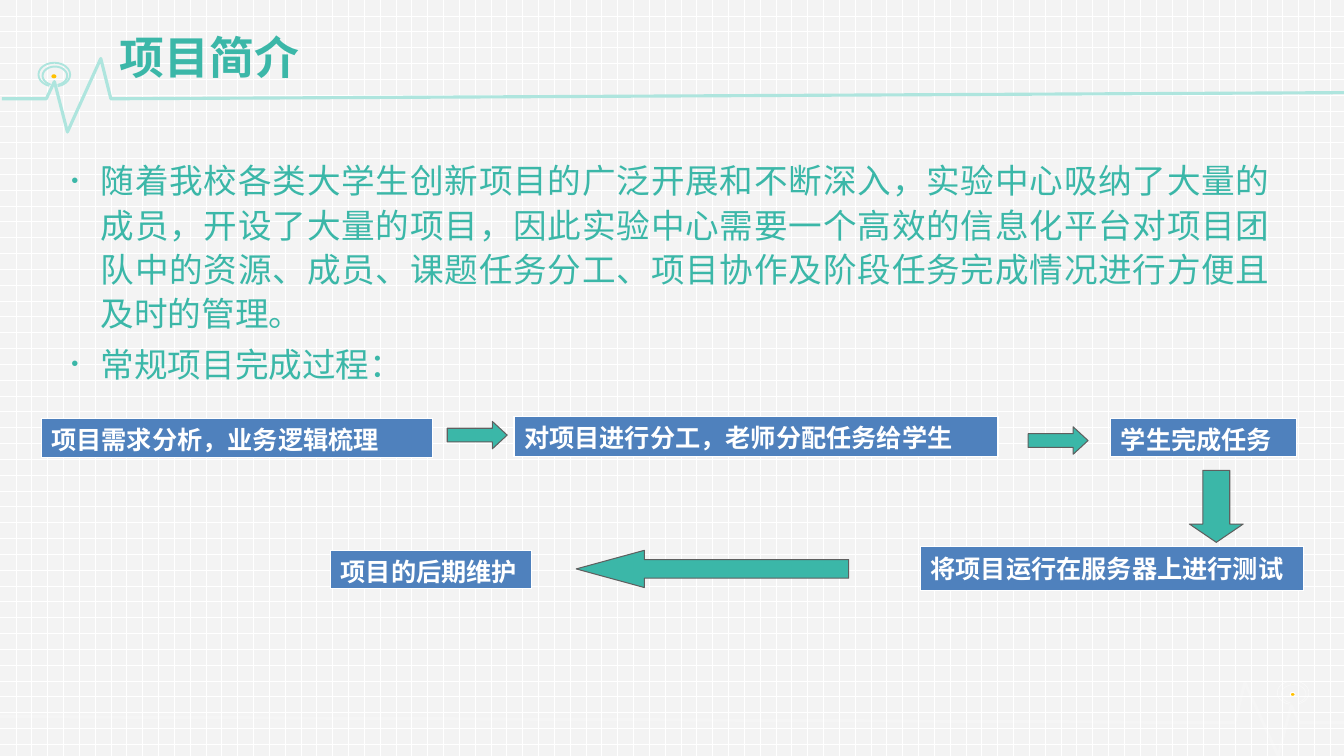
from lxml.etree import SubElement
from pptx import Presentation
from pptx.dml.color import RGBColor as RGB
from pptx.enum.dml import MSO_PATTERN
from pptx.enum.shapes import MSO_SHAPE as SHAPE
from pptx.enum.text import MSO_ANCHOR as ANCHOR, PP_ALIGN as ALIGN
from pptx.oxml.ns import qn
from pptx.util import Pt

THEME = {
    "teal": "3BB7A8", "mint": "AEE5DE", "white": "FFFFFF", "paper": "F3F3F3",
    "amber": "FFC000", "blue": "4F81BD", "edge": "5F5F5F",
    "cjk": "Noto Sans CJK SC", "latin": "Calibri",
    "title": 32, "body": 24, "step": 18,
}
WIDTH, HEIGHT = 960, 540

TITLE = "项目简介"
BODY = [
    "随着我校各类大学生创新项目的广泛开展和不断深入，实验中心吸纳了大量的成员，"
    "开设了大量的项目，因此实验中心需要一个高效的信息化平台对项目团队中的资源、成员、"
    "课题任务分工、项目协作及阶段任务完成情况进行方便且及时的管理。",
    "常规项目完成过程：",
]
# text, (left, top, width, height)
STEPS = [
    ("项目需求分析，业务逻辑梳理", (29.5, 298.8, 279.4, 28.1)),
    ("对项目进行分工，老师分配任务给学生", (367.2, 297.4, 345.6, 28.8)),
    ("学生完成任务", (793.4, 298.8, 132.5, 27.4)),
    ("将项目运行在服务器上进行测试", (657.4, 390.2, 273.6, 31.7)),
    ("项目的后期维护", (236.2, 393.1, 143.3, 27.4)),
]
# shape, box, head length ratio
ARROWS = [
    (SHAPE.DOWN_ARROW, (849.6, 336, 38.4, 51.4), 0.34),
    (SHAPE.LEFT_ARROW, (411.6, 393.1, 194.6, 26.6), 1.83),
    (SHAPE.RIGHT_ARROW, (319.5, 301, 42.8, 19.6), 0.54),
    (SHAPE.RIGHT_ARROW, (734.4, 304.9, 42.8, 19.6), 0.54),
]
PULSE = [(1.4, 70.6), (33.1, 70.6), (38.9, 58.3), (48.2, 94.3),
         (72, 41.8), (79.2, 70.6), (WIDTH, 66.2)]
FAINT_PULSE = [(WIDTH, 516.2), (928.1, 516.2), (922.3, 504), (913, HEIGHT),
               (889.2, 487.4), (882, 516.2), (0, 511.9)]
# offset from the dot, size, adjustments, opacity
RINGS = [((-9.4, -8.4), (23, 17.3), (69.88, 42.68, 0.02), 70),
         ((-6.5, -5.8), (18, 13.7), (71.65, 41.7, 0.03), 60)]
DOT = (3.6, 2.9)


def color(name):
    """Return a theme colour."""
    return RGB.from_string(THEME[name])


def set_all(obj, formats):
    """Set every attribute in a dict of format values."""
    for name, value in formats.items():
        setattr(obj, name, value)


def set_alpha(holder, percent):
    """Make the solid colour inside an element partly transparent."""
    clr = next(holder.iter(qn("a:srgbClr")))
    SubElement(clr, qn("a:alpha"), val=str(percent * 1000))


def paint(sp, fill=None, line=None, weight=0.75):
    """Give a shape its fill and line, and no shadow."""
    sp.shadow.inherit = False
    if fill:
        sp.fill.solid()
        sp.fill.fore_color.rgb = color(fill)
    else:
        sp.fill.background()
    if line:
        sp.line.color.rgb = color(line)
        sp.line.width = Pt(weight)
    else:
        sp.line.fill.background()


def add_preset(s, kind, box, adjust=(), **look):
    """Add a painted preset shape."""
    sp = s.shapes.add_shape(kind, *map(Pt, box))
    for i, value in enumerate(adjust):
        sp.adjustments[i] = value
    paint(sp, **look)
    return sp


def add_paper(s):
    """Cover the slide with a dotted grid."""
    sp = add_preset(s, SHAPE.RECTANGLE, (0, 0, WIDTH, HEIGHT))
    sp.fill.patterned()
    set_all(sp.fill, {"pattern": MSO_PATTERN.DOTTED_GRID})
    sp.fill.fore_color.rgb = color("white")
    sp.fill.back_color.rgb = color("paper")


def add_pulse(s, points, line, alpha=None):
    """Draw an open heartbeat line."""
    pts = [(Pt(x), Pt(y)) for x, y in points]
    builder = s.shapes.build_freeform(*pts[0], scale=1.0)
    builder.add_line_segments(pts[1:], close=False)
    sp = builder.convert_to_shape()
    paint(sp, line=line, weight=2.25)
    if alpha:
        set_alpha(sp.line._ln, alpha)


def add_beacon(s, x, y, dot_line=None, ring_line=None, flip=False):
    """Draw a dot inside two open rings."""
    parts = [add_preset(s, SHAPE.OVAL, (x, y, *DOT), fill="amber", line=dot_line)]
    for (dx, dy), size, adjust, alpha in RINGS:
        ring = add_preset(s, SHAPE.BLOCK_ARC, (x + dx, y + dy, *size), adjust,
                          fill="white", line=ring_line, weight=1)
        set_alpha(ring._element.spPr.find(qn("a:solidFill")), alpha)
        parts.append(ring)
    if flip:
        for sp in parts:
            sp._element.spPr.xfrm.set("flipH", "1")


def write(p, text, size, ink, font="cjk", bold=False, **spacing):
    """Fill a paragraph with one formatted run."""
    set_all(p, spacing)
    r = p.add_run()
    r.text = text
    set_all(r.font, {"size": Pt(THEME[size]), "bold": bold, "name": THEME[font]})
    r.font.color.rgb = color(ink)
    SubElement(r._r.get_or_add_rPr(), qn("a:ea"), typeface=THEME["cjk"])


def add_bullet(p):
    """Give a paragraph a small hanging bullet."""
    pPr = p._p.get_or_add_pPr()
    set_all_xml = {"marL": Pt(20.9), "indent": -Pt(20.9)}
    for name, value in set_all_xml.items():
        pPr.set(name, str(int(value)))
    SubElement(SubElement(pPr, qn("a:buClr")), qn("a:srgbClr"), val=THEME["teal"])
    SubElement(pPr, qn("a:buSzPct"), val="60000")
    SubElement(pPr, qn("a:buFont"), typeface="Arial")
    SubElement(pPr, qn("a:buChar"), char="•")


def add_frame(s, box, anchor):
    """Add a wrapping text box and return its frame."""
    tf = s.shapes.add_textbox(*map(Pt, box)).text_frame
    set_all(tf, {"word_wrap": True, "vertical_anchor": anchor})
    return tf


def add_step(s, text, box):
    """Add a one-cell table for a step of the process."""
    table = s.shapes.add_table(1, 1, *map(Pt, box)).table
    cell = table.cell(0, 0)
    cell.vertical_anchor = ANCHOR.MIDDLE
    write(cell.text_frame.paragraphs[0], text, "step", "white", "latin", True,
          line_spacing=0.9, space_before=Pt(10))
    tcPr = cell._tc.get_or_add_tcPr()
    for side in ("lnL", "lnR", "lnT", "lnB"):
        ln = SubElement(tcPr, qn("a:" + side), w=str(int(Pt(1))))
        SubElement(SubElement(ln, qn("a:solidFill")), qn("a:srgbClr"),
                   val=THEME["white"])
    cell.fill.solid()
    cell.fill.fore_color.rgb = color("blue")


def main():
    """Build and save the slide."""
    prs = Presentation()
    set_all(prs, {"slide_width": Pt(WIDTH), "slide_height": Pt(HEIGHT)})
    s = prs.slides.add_slide(prs.slide_layouts[6])
    add_paper(s)
    add_pulse(s, PULSE, "mint")
    add_beacon(s, 36.7, 53.1, ring_line="mint")
    add_pulse(s, FAINT_PULSE, "white", alpha=19)
    add_beacon(s, 921.6, 494.6, dot_line="white", flip=True)

    tf = add_frame(s, (78.5, 14.4, 764.6, 49), ANCHOR.BOTTOM)
    write(tf.paragraphs[0], TITLE, "title", "teal", bold=True, line_spacing=0.9)
    tf = add_frame(s, (43.9, 108, 870.5, 386.6), ANCHOR.TOP)
    for i, text in enumerate(BODY):
        p = tf.add_paragraph() if i else tf.paragraphs[0]
        write(p, text, "body", "teal", alignment=ALIGN.JUSTIFY,
              line_spacing=1.1, space_before=Pt(4.5))
        add_bullet(p)

    for text, box in STEPS:
        add_step(s, text, box)
    for kind, box, head in ARROWS:
        add_preset(s, kind, box, (0.5, head), fill="teal", line="edge")
    prs.save("out.pptx")


main()
